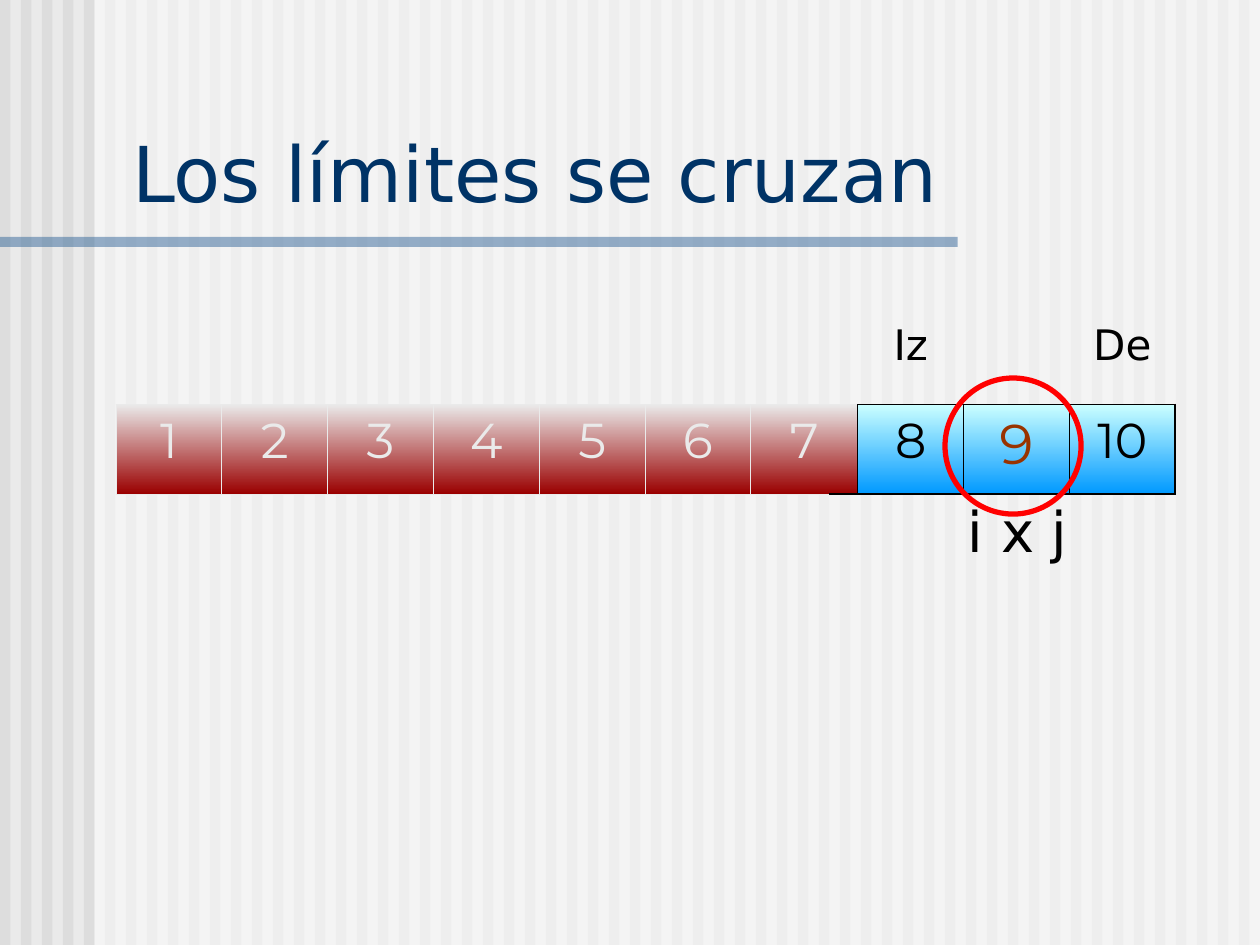
from dataclasses import dataclass

from lxml.etree import SubElement
from pptx import Presentation
from pptx.dml.color import RGBColor
from pptx.enum.shapes import MSO_SHAPE
from pptx.enum.text import MSO_ANCHOR, PP_ALIGN
from pptx.oxml import parse_xml
from pptx.oxml.ns import nsdecls, qn
from pptx.util import Inches, Pt


@dataclass(frozen=True)
class Theme:
    """Colours, fonts and sizes of the slide."""
    background: str = "EAEAEA"
    stripe: str = "DDDDDD"
    veil: str = "FFFFFF"
    rule: str = "336699"
    title: str = "003366"
    ink: str = "000000"
    pale: str = "EAEAEA"
    pivot: str = "993300"
    ring: str = "FF0000"
    done_gradient: tuple = ("EAEAEA", "9A0000")
    active_gradient: tuple = ("CCFFFF", "0099FF")
    text_font: str = "DejaVu Sans"
    number_font: str = "Montserrat"
    title_size: int = 44
    large_size: int = 32
    number_size: int = 28
    label_size: int = 24
    thin: float = 0.45
    thick: float = 1.08


THEME = Theme()
NO_TABLE_STYLE = "{2D5ABB26-0587-4C30-8999-92F81FD0307C}"
COLUMN_WIDTHS = [0.84] * 6 + [0.62, 0.23, 0.52, 0.32, 0.84, 0.34, 0.5]
NUMBER_SPANS = [(column, column) for column in range(6)] + [(6, 7), (8, 9), (10, 10), (11, 12)]
POINTER_SPANS = [(column, column) for column in range(7)] + [(7, 8), (9, 11), (12, 12)]
FIRST_ACTIVE = 7
PIVOT = 8


def rgb(color):
    """Return the colour object for a hex string."""
    return RGBColor.from_string(color)


def style_paragraph(paragraph, text, font, size, color):
    """Write text into a paragraph and set its font."""
    paragraph.text = text
    paragraph.font.name = font
    paragraph.font.size = Pt(size)
    paragraph.font.color.rgb = rgb(color)


def add_bar(slide, box, color, opacity=100):
    """Add a rectangle without outline, optionally translucent."""
    shape = slide.shapes.add_shape(MSO_SHAPE.RECTANGLE, *map(Inches, box))
    shape.shadow.inherit = False
    shape.line.fill.background()
    shape.fill.solid()
    shape.fill.fore_color.rgb = rgb(color)
    if opacity < 100:
        color_element = shape.fill._xPr.find(".//" + qn("a:srgbClr"))
        SubElement(color_element, qn("a:alpha"), val=str(opacity * 1000))


def add_backdrop(slide, box):
    """Add the striped background, its veil and the title rule."""
    left, top, width, height = box
    slide.background.fill.solid()
    slide.background.fill.fore_color.rgb = rgb(THEME.background)
    stripe_count = 60
    pitch = width / stripe_count
    for index in range(stripe_count):
        add_bar(slide, (left + index * pitch, top, pitch / 2, height), THEME.stripe)
    add_bar(slide, (left + 0.75, top, width - 0.75, height), THEME.veil, 50)
    add_bar(slide, (left, top + 1.88, 7.6, 0.08), THEME.rule, 50)


def add_title(slide, box):
    """Add the slide title."""
    frame = slide.shapes.add_textbox(*map(Inches, box)).text_frame
    frame.word_wrap = True
    frame.vertical_anchor = MSO_ANCHOR.BOTTOM
    style_paragraph(frame.paragraphs[0], "Los límites se cruzan",
                    THEME.text_font, THEME.title_size, THEME.title)


def set_borders(cell, **sides):
    """Draw the given (colour, width) borders, keyed L, R, T and B."""
    properties = cell._tc.get_or_add_tcPr()
    drawn = [side for side in "LRTB" if side in sides]
    for position, side in enumerate(drawn):
        color, width = sides[side]
        properties.insert(position, parse_xml(
            f'<a:ln{side} {nsdecls("a")} w="{Pt(width)}"><a:solidFill>'
            f'<a:srgbClr val="{color}"/></a:solidFill></a:ln{side}>'))


def fill_gradient(cell, colors):
    """Fill a cell with a gradient from top to bottom."""
    cell.fill.gradient()
    cell.fill.gradient_angle = 270
    for stop, color in zip(cell.fill.gradient_stops, colors):
        stop.color.rgb = rgb(color)


def write_cell(cell, text, font, size, color):
    """Write centred text into a cell."""
    paragraph = cell.text_frame.paragraphs[0]
    paragraph.alignment = PP_ALIGN.CENTER
    style_paragraph(paragraph, text, font, size, color)


def add_number_row(table):
    """Fill the middle row with the numbers 1 to 10 and frame it."""
    pale_line = (THEME.pale, THEME.thin)
    thin_line = (THEME.ink, THEME.thin)
    thick_line = (THEME.ink, THEME.thick)
    for index, (first, last) in enumerate(NUMBER_SPANS):
        active = index >= FIRST_ACTIVE
        edge = thick_line if active else pale_line
        left = thin_line if active else pale_line
        right = thin_line if index >= FIRST_ACTIVE - 1 else pale_line
        if last == len(COLUMN_WIDTHS) - 1:
            right = thick_line
        for column in range(first, last + 1):
            cell = table.cell(1, column)
            fill_gradient(cell, THEME.active_gradient if active else THEME.done_gradient)
            sides = {"T": edge, "B": edge}
            if column == first:
                sides["L"] = left
            if column == last or column == first:
                sides["R"] = right
            set_borders(cell, **sides)
            set_borders(table.cell(0, column), B=edge)
        size = THEME.large_size if index == PIVOT else THEME.number_size
        color = THEME.pivot if index == PIVOT else THEME.ink if active else THEME.pale
        write_cell(table.cell(1, first), str(index + 1), THEME.number_font, size, color)


def add_array(slide, box):
    """Add the array table with its limit labels and pointers."""
    frame = slide.shapes.add_table(3, len(COLUMN_WIDTHS), *map(Inches, box))
    table = frame.table
    table.first_row = table.horz_banding = False
    table._tbl.tblPr.find(qn("a:tableStyleId")).text = NO_TABLE_STYLE
    for column, width in zip(table.columns, COLUMN_WIDTHS):
        column.width = Inches(width)
    for cell in table.iter_cells():
        cell.fill.background()
    for row, spans in enumerate((NUMBER_SPANS, NUMBER_SPANS, POINTER_SPANS)):
        for first, last in spans:
            if last > first:
                table.cell(row, first).merge(table.cell(row, last))
    add_number_row(table)
    for column in range(len(COLUMN_WIDTHS)):
        line = (THEME.pale, THEME.thin) if column < 7 else (THEME.ink, THEME.thick)
        set_borders(table.cell(2, column), T=line)
    for column, label in ((8, "Iz"), (11, "De")):
        write_cell(table.cell(0, column), label, THEME.text_font, THEME.label_size, THEME.ink)
    write_cell(table.cell(2, 9), "i x j", THEME.text_font, THEME.large_size, THEME.ink)


def add_ring(slide, box):
    """Add the ring around the crossing element."""
    ring = slide.shapes.add_shape(MSO_SHAPE.OVAL, *map(Inches, box))
    ring.shadow.inherit = False
    ring.fill.background()
    ring.line.color.rgb = rgb(THEME.ring)
    ring.line.width = Pt(3)


def main():
    """Build and save the presentation."""
    presentation = Presentation()
    presentation.slide_width = Inches(10)
    presentation.slide_height = Inches(7.5)
    slide = presentation.slides.add_slide(presentation.slide_layouts[6])
    add_backdrop(slide, (0, 0, 10, 7.5))
    add_array(slide, (0.92, 2.5, 8.41, 2.13))
    add_title(slide, (0.95, 0.94, 8.93, 0.84))
    add_ring(slide, (7.5, 3, 1.08, 1.08))
    presentation.save("out.pptx")


if __name__ == "__main__":
    main()
